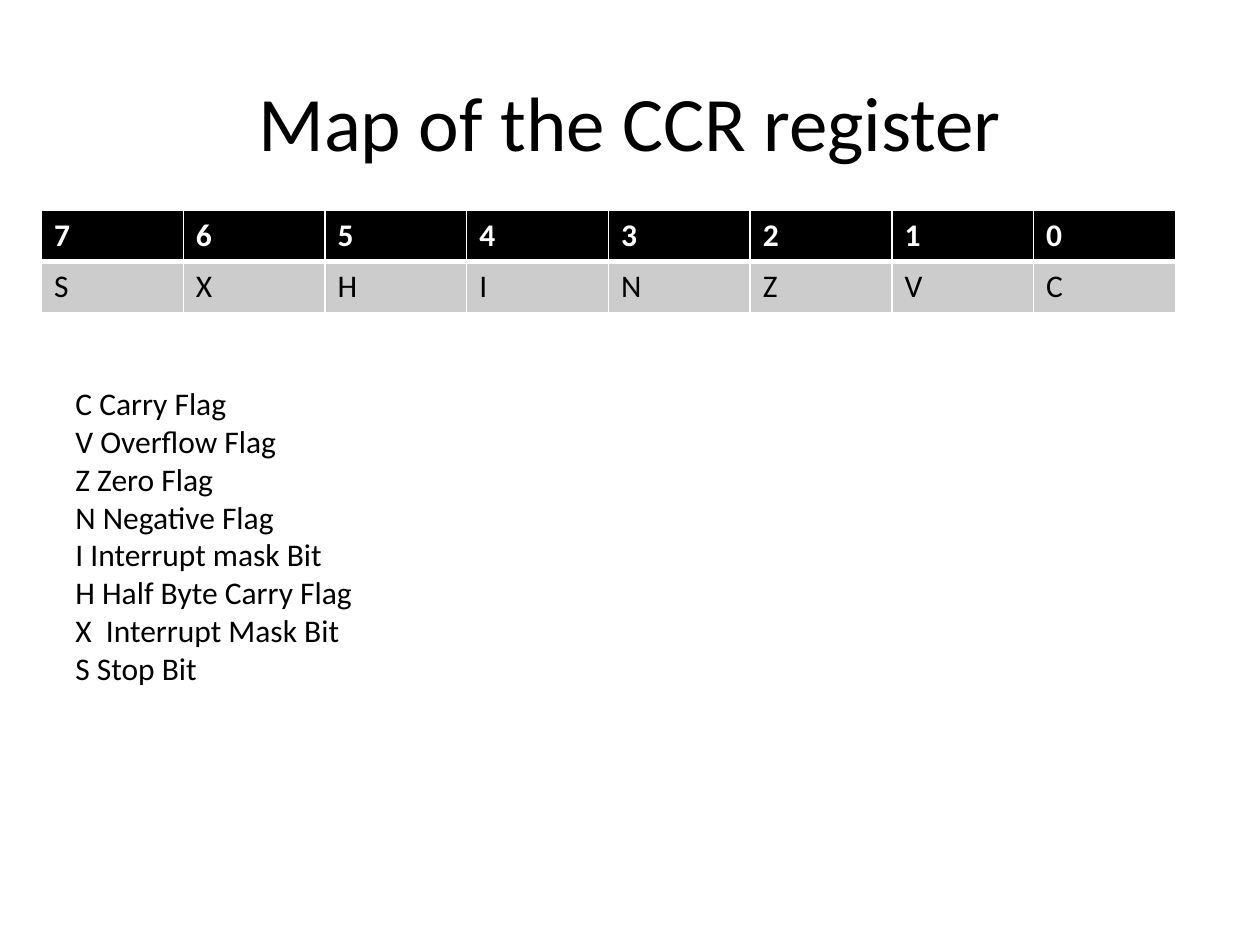
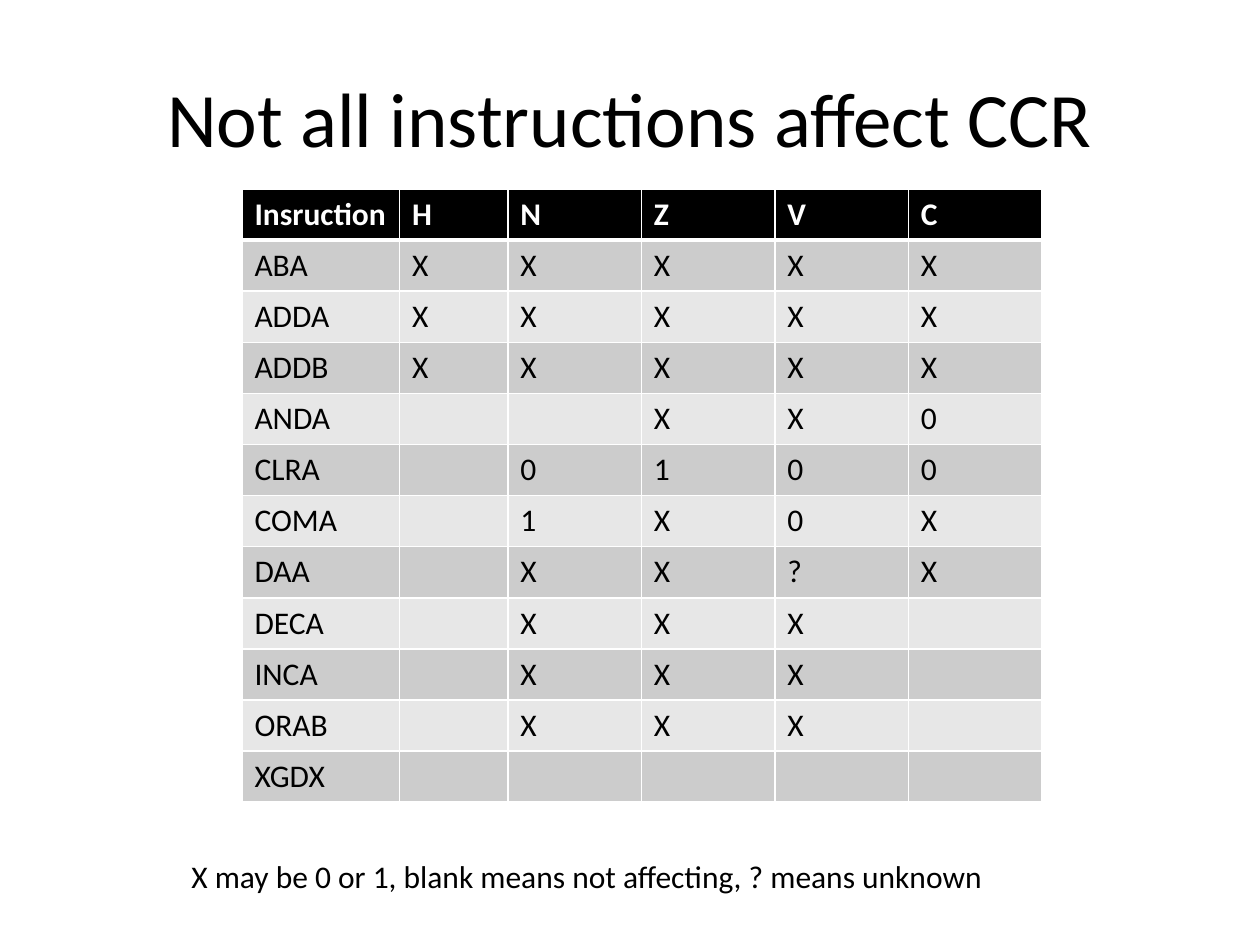
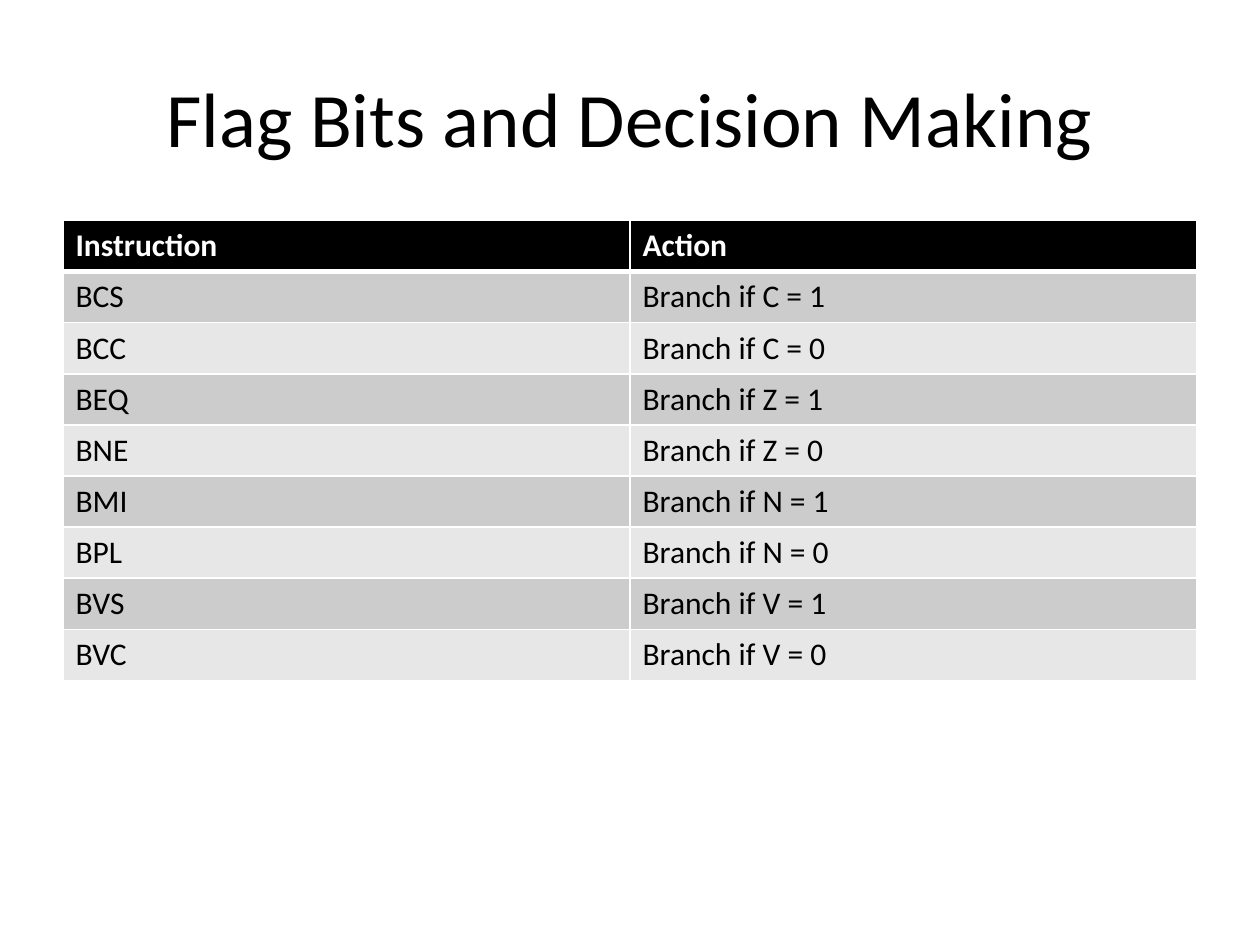
import pptx
import pptx.dml.color
import pptx.enum.text
import pptx.oxml.ns
import pptx.util
from lxml import etree

Inches, Pt = pptx.util.Inches, pptx.util.Pt

# Shared style
FONT = "Calibri"
BLACK, WHITE = "000000", "FFFFFF"
BANDS = ("CCCCCC", "E7E7E7")
TITLE_SIZE, TEXT_SIZE = 44, 18
SLIDE_WIDTH, SLIDE_HEIGHT = 10, 7.5
MARGIN = 0.05 * SLIDE_WIDTH
CONTENT_WIDTH = SLIDE_WIDTH - 2 * MARGIN
TITLE_HEIGHT = 1.25
ROW_HEIGHT = 0.4
THIN_LINE, HEADER_LINE = 1, 3

# Content: tables are (left, top, column widths, rows), notes are (box, lines)
SLIDES = [
    {
        "title": "Map of the CCR register",
        "title_top": 0.33,
        "table": (0.33, 1.67, [CONTENT_WIDTH / 8] * 8,
                  [list("76543210"), list("SXHINZVC")]),
        "note": ((MARGIN, 3, 2.42, 2.52), [
            "C Carry Flag",
            "V Overflow Flag",
            "Z Zero Flag",
            "N Negative Flag",
            "I Interrupt mask Bit",
            "H Half Byte Carry Flag",
            "X  Interrupt Mask Bit",
            "S Stop Bit",
        ]),
    },
    {
        "title": "Not all instructions affect CCR",
        "title_top": 0.3,
        "table": (1.92, 1.5, [1.25, 0.86] + [1.06] * 4, [
            ["Insruction", "H", "N", "Z", "V", "C"],
            ["ABA", "X", "X", "X", "X", "X"],
            ["ADDA", "X", "X", "X", "X", "X"],
            ["ADDB", "X", "X", "X", "X", "X"],
            ["ANDA", "", "", "X", "X", "0"],
            ["CLRA", "", "0", "1", "0", "0"],
            ["COMA", "", "1", "X", "0", "X"],
            ["DAA", "", "X", "X", "?", "X"],
            ["DECA", "", "X", "X", "X", ""],
            ["INCA", "", "X", "X", "X", ""],
            ["ORAB", "", "X", "X", "X", ""],
            ["XGDX", "", "", "", "", ""],
        ]),
        "note": ((1.42, 6.75, 6.58, 0.4),
                 ["X may be 0 or 1, blank means not affecting, ? means unknown"]),
    },
    {
        "title": "Flag Bits and Decision Making",
        "title_top": 0.3,
        "table": (MARGIN, 1.75, [CONTENT_WIDTH / 2] * 2, [
            ["Instruction", "Action"],
            ["BCS", "Branch if C = 1"],
            ["BCC", "Branch if C = 0"],
            ["BEQ", "Branch if Z = 1"],
            ["BNE", "Branch if Z = 0"],
            ["BMI", "Branch if N = 1"],
            ["BPL", "Branch if N = 0"],
            ["BVS", "Branch if V = 1"],
            ["BVC", "Branch if V = 0"],
        ]),
    },
]


def rgb(color):
    return pptx.dml.color.RGBColor.from_string(color)


def style(paragraph, size=TEXT_SIZE, color=BLACK, bold=False):
    font = paragraph.font
    font.name, font.size, font.bold = FONT, Pt(size), bold
    font.color.rgb = rgb(color)


def add_title(slide, text, top):
    title = slide.shapes.title
    title.left, title.top = Inches(MARGIN), Inches(top)
    title.width, title.height = Inches(CONTENT_WIDTH), Inches(TITLE_HEIGHT)
    frame = title.text_frame
    frame.text = text
    frame.vertical_anchor = pptx.enum.text.MSO_ANCHOR.MIDDLE
    frame.paragraphs[0].alignment = pptx.enum.text.PP_ALIGN.CENTER
    style(frame.paragraphs[0], TITLE_SIZE)


def set_borders(cell, row_index):
    """Thin white lines, with a thicker one between header and body."""
    properties = cell._tc.get_or_add_tcPr()
    heavy_side = {0: "B", 1: "T"}.get(row_index)
    for side in "LRTB":
        width = HEADER_LINE if side == heavy_side else THIN_LINE
        line = etree.SubElement(properties, pptx.oxml.ns.qn(f"a:ln{side}"), w=str(Pt(width)))
        fill = etree.SubElement(line, pptx.oxml.ns.qn("a:solidFill"))
        etree.SubElement(fill, pptx.oxml.ns.qn("a:srgbClr"), val=WHITE)


def add_table(slide, left, top, widths, rows):
    table = slide.shapes.add_table(
        len(rows), len(widths), Inches(left), Inches(top),
        Inches(sum(widths)), Inches(ROW_HEIGHT * len(rows))).table
    for column, width in zip(table.columns, widths):
        column.width = Inches(width)
    for row_index, row in enumerate(rows):
        is_header = row_index == 0
        for column_index, text in enumerate(row):
            cell = table.cell(row_index, column_index)
            cell.text = text
            set_borders(cell, row_index)
            cell.fill.solid()
            cell.fill.fore_color.rgb = rgb(BLACK if is_header else BANDS[(row_index - 1) % 2])
            style(cell.text_frame.paragraphs[0],
                  color=WHITE if is_header else BLACK, bold=is_header)


def add_note(slide, box, lines):
    frame = slide.shapes.add_textbox(*map(Inches, box)).text_frame
    frame.word_wrap = False
    frame.text = "\n".join(lines)
    for paragraph in frame.paragraphs:
        style(paragraph)


def main():
    presentation = pptx.Presentation()
    presentation.slide_width = Inches(SLIDE_WIDTH)
    presentation.slide_height = Inches(SLIDE_HEIGHT)
    title_only = presentation.slide_layouts[5]
    for content in SLIDES:
        slide = presentation.slides.add_slide(title_only)
        add_title(slide, content["title"], content["title_top"])
        add_table(slide, *content["table"])
        if "note" in content:
            add_note(slide, *content["note"])
    presentation.save("out.pptx")


if __name__ == "__main__":
    main()
